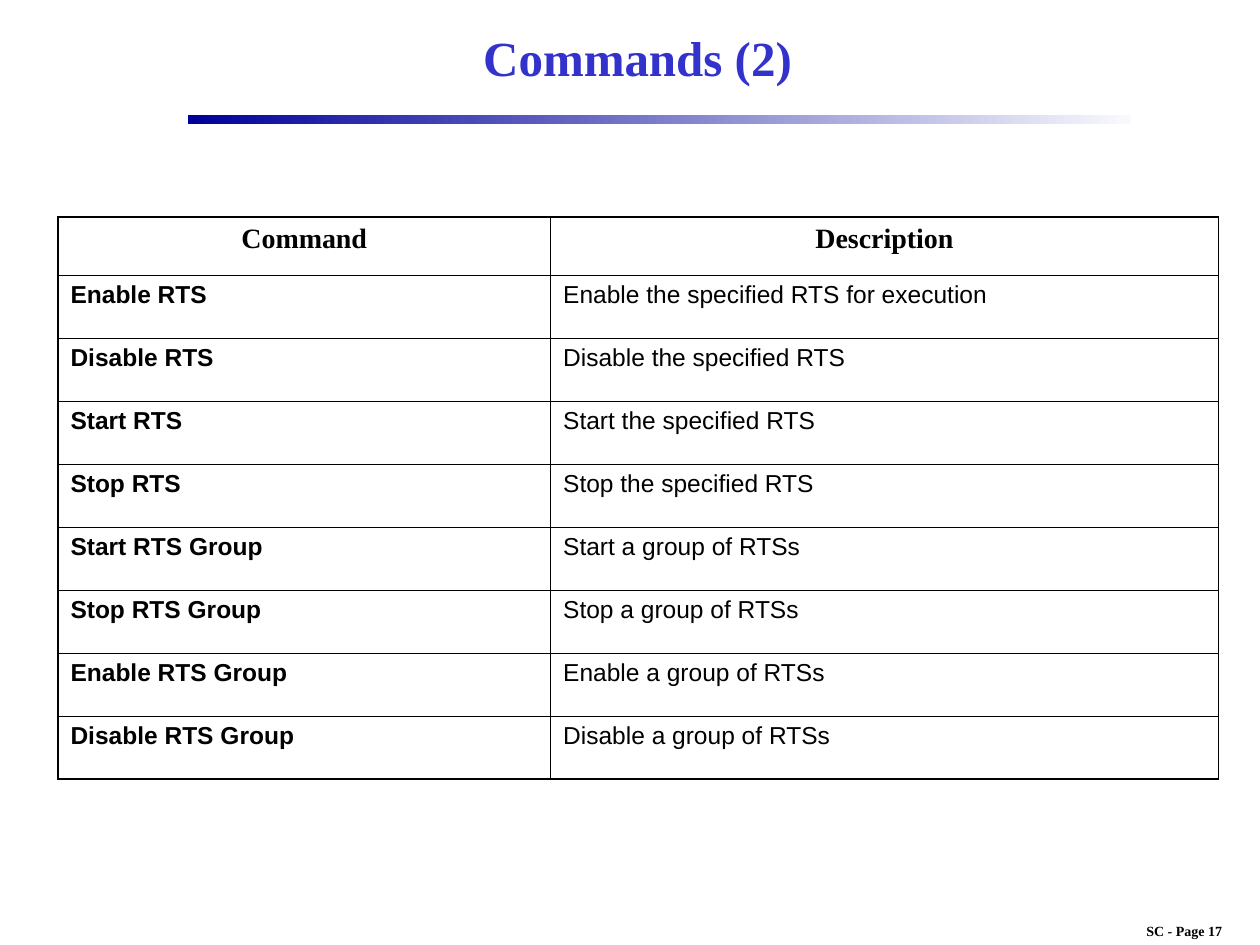
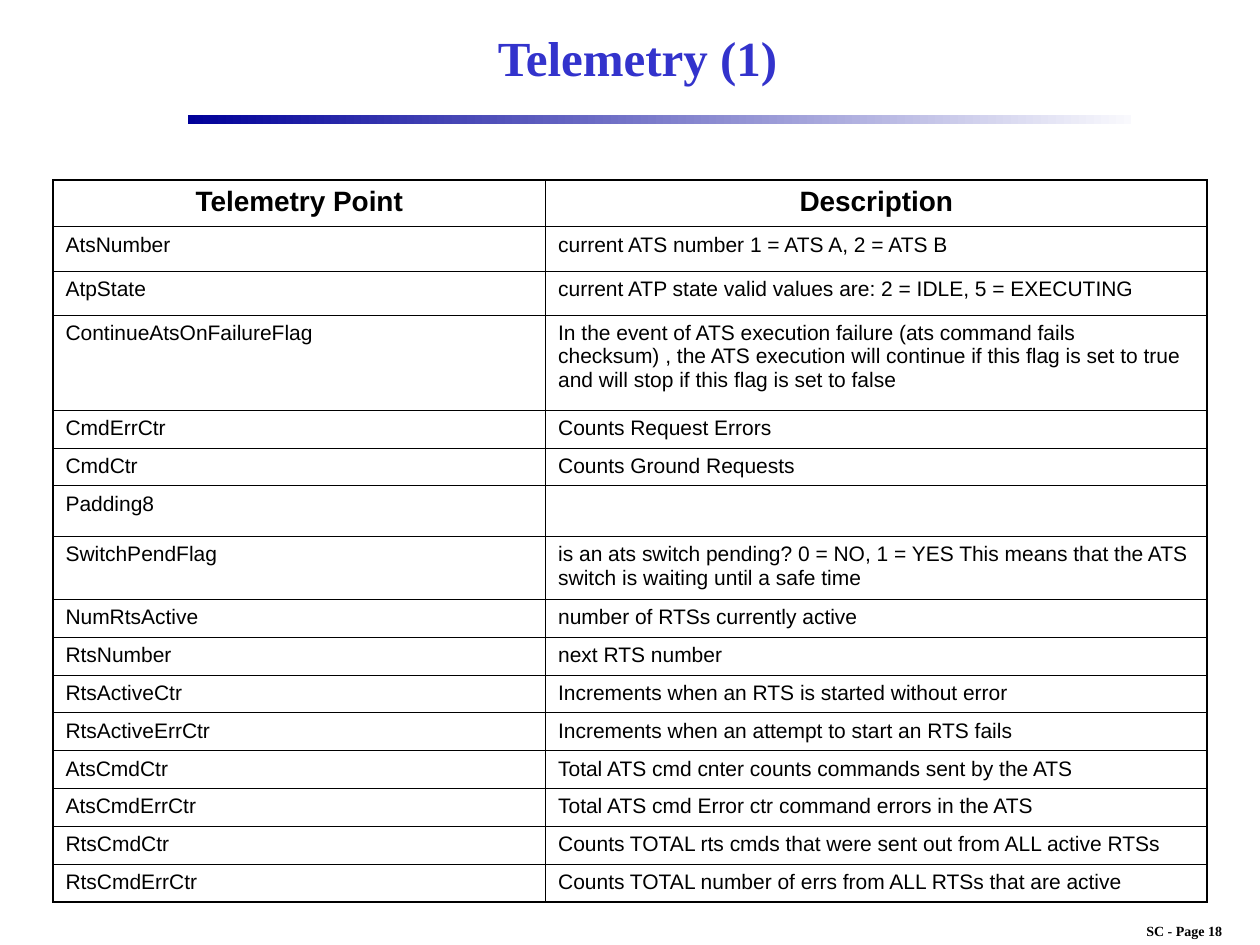
from lxml.etree import SubElement
from pptx import Presentation
from pptx.dml.color import RGBColor
from pptx.enum.shapes import MSO_SHAPE as Shape
from pptx.enum.text import MSO_ANCHOR as Anchor, PP_ALIGN as Align
from pptx.oxml.ns import qn
from pptx.util import Inches, Pt

COLUMNS, ROWS = 100, 75
SLIDE_WIDTH, SLIDE_HEIGHT = Inches(10), Inches(7.5)
SERIF, SANS = "Times New Roman", "Arial"
BLACK, TITLE_BLUE = "000000", "3333CC"
BAND_START, BAND_END = "000099", "F9F9FD"
OUTER_LINE, INNER_LINE = Pt(1.08), Pt(0.45)

TITLE_BOX = (15.3, 0.8, 70.6, 7.5)
BAND_BOX = (14.9, 9.15, 74.9, 0.7)
FOOTER_BOX = (88, 72.7, 12, 2.3)

COMMANDS = [
    ("Command", "Description"),
    ("Enable RTS", "Enable the specified RTS for execution"),
    ("Disable RTS", "Disable the specified RTS"),
    ("Start RTS", "Start the specified RTS"),
    ("Stop RTS", "Stop the specified RTS"),
    ("Start RTS Group", "Start a group of RTSs"),
    ("Stop RTS Group", "Stop a group of RTSs"),
    ("Enable RTS Group", "Enable a group of RTSs"),
    ("Disable RTS Group", "Disable a group of RTSs"),
]
TELEMETRY = [
    ("Telemetry Point", "Description"),
    ("AtsNumber", "current ATS number 1 = ATS A, 2 = ATS B"),
    ("AtpState", "current ATP state valid values are: 2 = IDLE, 5 = EXECUTING"),
    ("ContinueAtsOnFailureFlag",
     "In the event of ATS execution failure (ats command fails checksum) , "
     "the ATS execution will continue if this flag is set to true and will stop "
     "if this flag is set to false"),
    ("CmdErrCtr", "Counts Request Errors"),
    ("CmdCtr", "Counts Ground Requests"),
    ("Padding8", ""),
    ("SwitchPendFlag",
     "is an ats switch pending? 0 = NO, 1 = YES This means that the ATS "
     "switch is waiting until a safe time"),
    ("NumRtsActive", "number of RTSs currently active"),
    ("RtsNumber", "next RTS number"),
    ("RtsActiveCtr", "Increments when an RTS is started without error"),
    ("RtsActiveErrCtr", "Increments when an attempt to start an RTS fails"),
    ("AtsCmdCtr", "Total ATS cmd cnter counts commands sent by the ATS"),
    ("AtsCmdErrCtr", "Total ATS cmd Error ctr command errors in the ATS"),
    ("RtsCmdCtr", "Counts TOTAL rts cmds that were sent out from ALL active RTSs"),
    ("RtsCmdErrCtr", "Counts TOTAL number of errs from ALL RTSs that are active"),
]


def color(hex_code):
    return RGBColor.from_string(hex_code)


def across(columns):
    return round(SLIDE_WIDTH * columns / COLUMNS)


def down(rows):
    return round(SLIDE_HEIGHT * rows / ROWS)


def place(box):
    left, top, width, height = box
    return across(left), down(top), across(width), down(height)


def write(frame, text, size, face, bold=True, hue=BLACK, align=Align.LEFT, before=0):
    frame.text = text
    paragraph = frame.paragraphs[0]
    paragraph.alignment = align
    paragraph.space_before = Pt(before)
    for run in paragraph.runs:
        run.font.size, run.font.name, run.font.bold = Pt(size), face, bold
        run.font.color.rgb = color(hue)


def add_title(slide, box, title):
    frame = slide.shapes.add_textbox(*place(box)).text_frame
    frame.word_wrap = True
    frame.vertical_anchor = Anchor.MIDDLE
    write(frame, title, 28, SERIF, hue=TITLE_BLUE, align=Align.CENTER)


def add_band(slide, box):
    band = slide.shapes.add_shape(Shape.RECTANGLE, *place(box))
    band.shadow.inherit = False
    band.line.fill.background()
    band.fill.gradient()
    band.fill.gradient_angle = 0
    for stop, hue in zip(band.fill.gradient_stops, (BAND_START, BAND_END)):
        stop.color.rgb = color(hue)


def add_footer(slide, box, page):
    frame = slide.shapes.add_textbox(*place(box)).text_frame
    frame.word_wrap = False
    write(frame, f"SC - Page {page}", 8, SERIF, align=Align.CENTER)


def rule_cell(cell, outer_sides):
    properties = cell._tc.get_or_add_tcPr()
    for side in "LRTB":
        width = OUTER_LINE if side in outer_sides else INNER_LINE
        line = SubElement(properties, qn(f"a:ln{side}"), w=str(width))
        fill = SubElement(line, qn("a:solidFill"))
        SubElement(fill, qn("a:srgbClr"), val=BLACK)


def add_definitions(slide, corner, widths, heights, entries, header_face, body):
    box = (*corner, sum(widths), sum(heights))
    table = slide.shapes.add_table(len(entries), len(widths), *place(box)).table
    table.first_row = table.horz_banding = False
    for column, width in zip(table.columns, widths):
        column.width = across(width)
    for row, height in zip(table.rows, heights):
        row.height = down(height)
    last = len(entries) - 1
    for r, entry in enumerate(entries):
        for c, text in enumerate(entry):
            cell = table.cell(r, c)
            rule_cell(cell, "LR"[c] + "T" * (r == 0) + "B" * (r == last))
            cell.fill.background()
            if r == 0:
                write(cell.text_frame, text, 16, header_face, align=Align.CENTER, before=7)
            else:
                write(cell.text_frame, text, body["size"], SANS,
                      bold=body["bold_names"] and c == 0, before=body["before"])


def add_definition_slide(deck, page, title, **definitions):
    slide = deck.slides.add_slide(deck.slide_layouts[6])
    add_footer(slide, FOOTER_BOX, page)
    add_band(slide, BAND_BOX)
    add_definitions(slide, **definitions)
    add_title(slide, TITLE_BOX, title)


def main():
    deck = Presentation()
    deck.slide_width, deck.slide_height = SLIDE_WIDTH, SLIDE_HEIGHT
    add_definition_slide(
        deck, 17, "Commands (2)", corner=(4.6, 17.2), widths=(39.1, 53),
        heights=[4.65] + [5] * 8, entries=COMMANDS, header_face=SERIF,
        body={"size": 14, "bold_names": True, "before": 6.1})
    add_definition_slide(
        deck, 18, "Telemetry (1)", corner=(4.2, 14.3), widths=(39.1, 52.5),
        heights=[3.7, 3.5, 3.5, 7.55, 3, 3, 4, 5] + [3] * 8, entries=TELEMETRY,
        header_face=SANS, body={"size": 12, "bold_names": False, "before": 0})
    deck.save("out.pptx")


if __name__ == "__main__":
    main()
